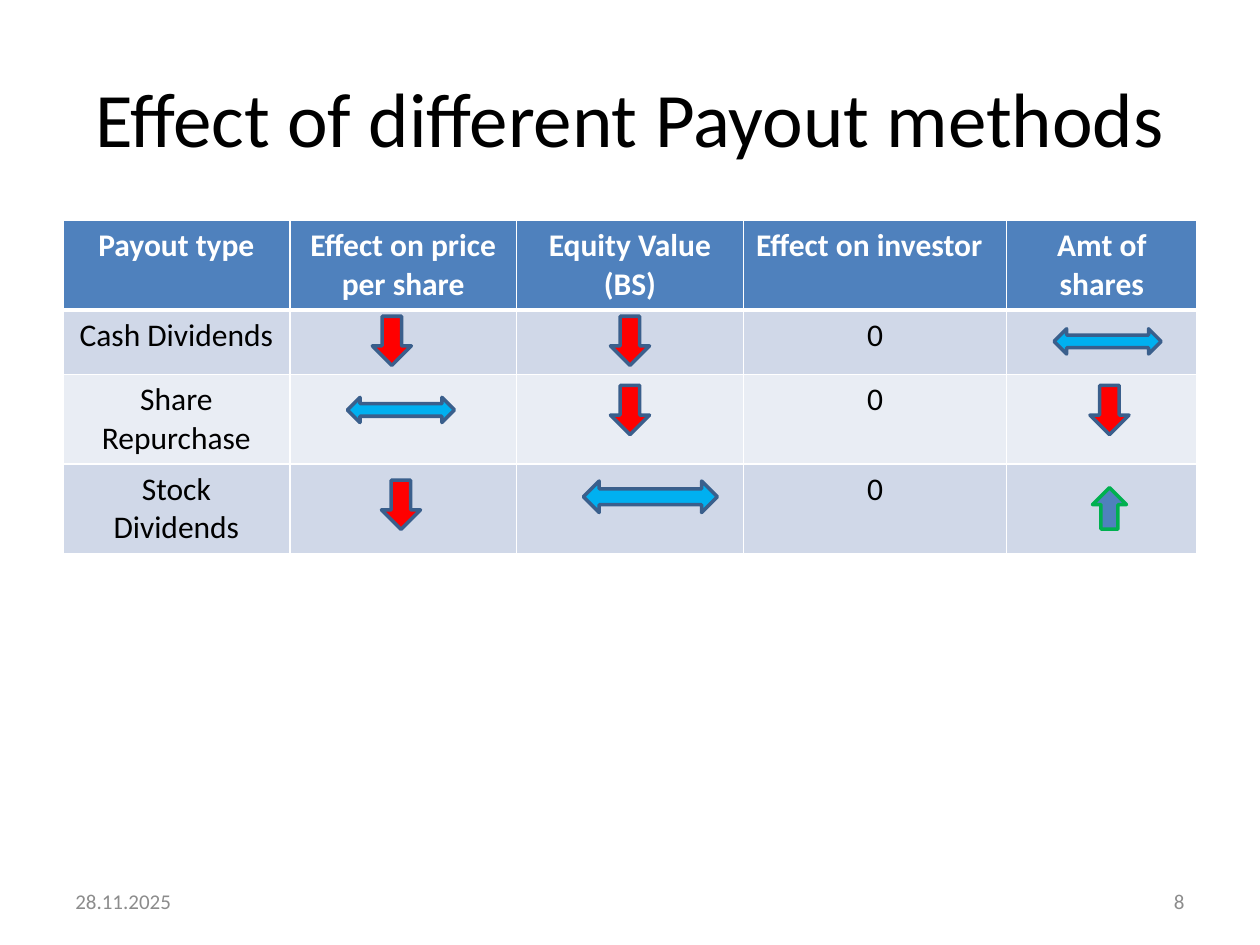
from dataclasses import dataclass
from itertools import accumulate

from lxml import etree
from pptx import Presentation
from pptx.dml.color import RGBColor
from pptx.enum.shapes import MSO_SHAPE
from pptx.enum.text import MSO_ANCHOR, PP_ALIGN
from pptx.oxml.ns import qn
from pptx.util import Inches, Pt

DOWN, UP, BOTH = MSO_SHAPE.DOWN_ARROW, MSO_SHAPE.UP_ARROW, MSO_SHAPE.LEFT_RIGHT_ARROW
LEFT, CENTER, RIGHT = PP_ALIGN.LEFT, PP_ALIGN.CENTER, PP_ALIGN.RIGHT
MIDDLE = MSO_ANCHOR.MIDDLE


@dataclass(frozen=True)
class Theme:
    font: str = "Calibri"
    ink: str = "000000"
    paper: str = "FFFFFF"
    muted: str = "8C8C8C"
    accent: str = "4F81BD"
    outline: str = "3A5F8C"
    fall: str = "FF0000"
    steady: str = "00B0F0"
    rise_outline: str = "00B050"
    bands: tuple = ("D0D8E8", "E9EDF4")
    title_size: int = 44
    table_size: int = 18
    footer_size: int = 12
    arrow_line: int = 2
    rule: int = 1
    header_rule: int = 3


THEME = Theme()
SLIDE_WIDTH, SLIDE_HEIGHT = 10, 7.5
MARGIN, TABLE_TOP = 0.5, 1.75
COLUMNS = (1.8, 1.8, 1.8, 2.09, 1.51)
ROWS = (0.71, 0.51, 0.71, 0.71)
COLUMN_EDGES = list(accumulate(COLUMNS, initial=MARGIN))
ROW_EDGES = list(accumulate(ROWS, initial=TABLE_TOP))

PAYOUTS = (
    ("Payout type", "Effect on price per share", "Equity Value\n(BS)",
     "Effect on investor", "Amt of shares"),
    ("Cash Dividends", "", "", "0", ""),
    ("Share Repurchase", "", "", "0", ""),
    ("Stock Dividends", "", "", "0", ""),
)


@dataclass(frozen=True)
class Effect:
    direction: int
    row: int
    column: int
    across: float
    down: float
    scale: float = 1


@dataclass(frozen=True)
class ArrowStyle:
    width: float
    height: float
    fill: str
    line: str


ARROWS = {
    DOWN: ArrowStyle(0.31, 0.39, THEME.fall, THEME.outline),
    BOTH: ArrowStyle(0.85, 0.2, THEME.steady, THEME.outline),
    UP: ArrowStyle(0.27, 0.33, THEME.accent, THEME.rise_outline),
}

EFFECTS = (
    Effect(DOWN, 1, 1, 0.45, 0.48),
    Effect(DOWN, 1, 2, 0.5, 0.48),
    Effect(BOTH, 1, 4, 0.53, 0.49),
    Effect(BOTH, 2, 1, 0.49, 0.4),
    Effect(DOWN, 2, 2, 0.5, 0.4),
    Effect(DOWN, 2, 4, 0.54, 0.4),
    Effect(DOWN, 3, 1, 0.49, 0.46),
    Effect(BOTH, 3, 2, 0.59, 0.37, 1.25),
    Effect(UP, 3, 4, 0.54, 0.5),
)


def rgb(color: str) -> RGBColor:
    return RGBColor.from_string(color)


def write(frame, text: str, size: int, color: str, align, bold: bool = False) -> None:
    frame.text = text
    formats = {"name": THEME.font, "size": Pt(size), "bold": bold}
    for paragraph in frame.paragraphs:
        paragraph.alignment = align
        for attribute, value in formats.items():
            setattr(paragraph.font, attribute, value)
        paragraph.font.color.rgb = rgb(color)


def draw_title(slide, text: str) -> None:
    title = slide.shapes.title
    place = {"left": MARGIN, "top": 0.3, "width": SLIDE_WIDTH - 2 * MARGIN, "height": 1.25}
    for attribute, value in place.items():
        setattr(title, attribute, Inches(value))
    write(title.text_frame, text, THEME.title_size, THEME.ink, CENTER)
    title.text_frame.vertical_anchor = MIDDLE


def draw_borders(cell, row: int) -> None:
    properties = cell._tc.get_or_add_tcPr()
    widths = {
        "a:lnL": THEME.rule,
        "a:lnR": THEME.rule,
        "a:lnT": THEME.header_rule if row == 1 else THEME.rule,
        "a:lnB": THEME.header_rule if row == 0 else THEME.rule,
    }
    for position, (side, width) in enumerate(widths.items()):
        border = etree.Element(qn(side), w=str(Pt(width)))
        fill = etree.SubElement(border, qn("a:solidFill"))
        etree.SubElement(fill, qn("a:srgbClr"), val=THEME.paper)
        properties.insert(position, border)


def draw_table(slide) -> None:
    table = slide.shapes.add_table(
        len(ROWS), len(COLUMNS), Inches(MARGIN), Inches(TABLE_TOP),
        Inches(sum(COLUMNS)), Inches(sum(ROWS))).table
    for column, width in zip(table.columns, COLUMNS):
        column.width = Inches(width)
    for row, (labels, height) in enumerate(zip(PAYOUTS, ROWS)):
        table.rows[row].height = Inches(height)
        header = row == 0
        for column, label in enumerate(labels):
            cell = table.cell(row, column)
            cell.fill.solid()
            cell.fill.fore_color.rgb = rgb(THEME.accent if header else THEME.bands[(row - 1) % 2])
            align = LEFT if header and column == 3 else CENTER
            write(cell.text_frame, label, THEME.table_size,
                  THEME.paper if header else THEME.ink, align, header)
            draw_borders(cell, row)


def draw_effect(slide, effect: Effect) -> None:
    style = ARROWS[effect.direction]
    width, height = style.width * effect.scale, style.height * effect.scale
    x = COLUMN_EDGES[effect.column] + COLUMNS[effect.column] * effect.across
    y = ROW_EDGES[effect.row] + ROWS[effect.row] * effect.down
    arrow = slide.shapes.add_shape(
        effect.direction, Inches(x - width / 2), Inches(y - height / 2),
        Inches(width), Inches(height))
    arrow.shadow.inherit = False
    arrow.fill.solid()
    arrow.fill.fore_color.rgb = rgb(style.fill)
    arrow.line.color.rgb = rgb(style.line)
    arrow.line.width = Pt(THEME.arrow_line)


def draw_footer(slide, text: str, left: float, align) -> None:
    frame = slide.shapes.add_textbox(
        Inches(left), Inches(6.95), Inches(2.33), Inches(0.4)).text_frame
    frame.word_wrap = True
    frame.vertical_anchor = MIDDLE
    write(frame, text, THEME.footer_size, THEME.muted, align)


def main() -> None:
    deck = Presentation()
    deck.slide_width, deck.slide_height = Inches(SLIDE_WIDTH), Inches(SLIDE_HEIGHT)
    slide = deck.slides.add_slide(deck.slide_layouts[5])
    draw_title(slide, "Effect of different Payout methods")
    draw_table(slide)
    draw_footer(slide, "28.11.2025", MARGIN, LEFT)
    draw_footer(slide, "8", SLIDE_WIDTH - MARGIN - 2.33, RIGHT)
    for effect in EFFECTS:
        draw_effect(slide, effect)
    deck.save("out.pptx")


if __name__ == "__main__":
    main()
